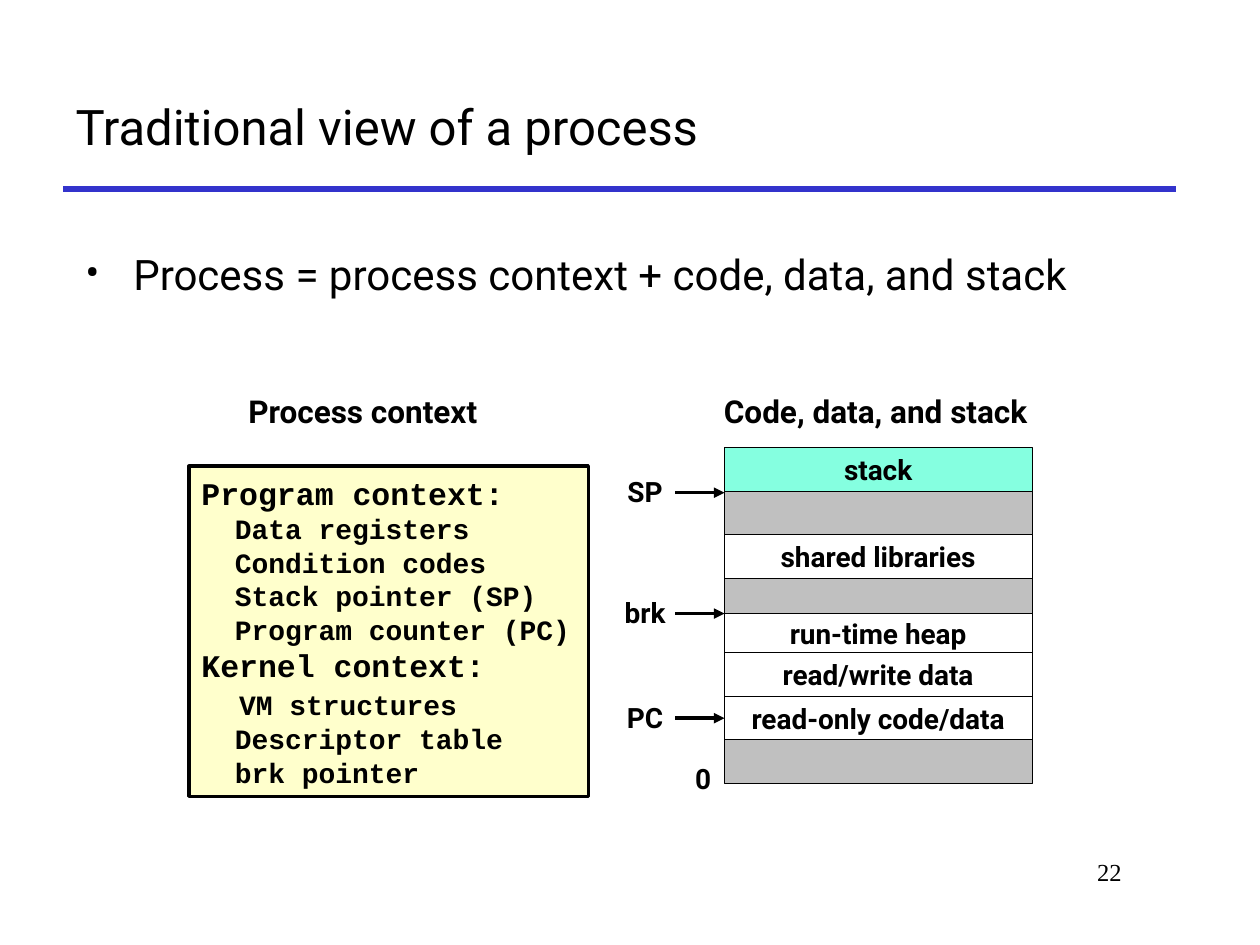
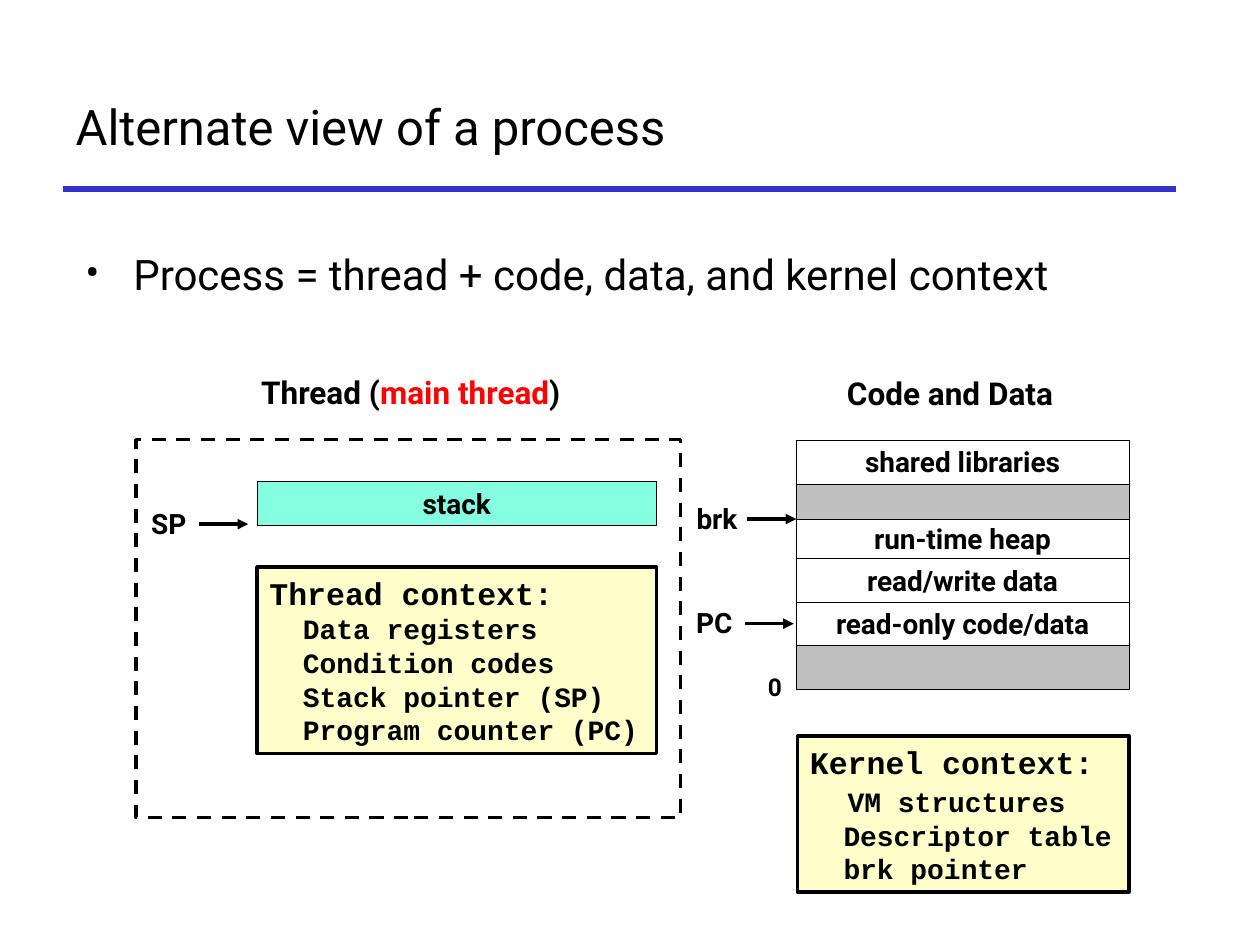
"""Build two slides that compare views of a process."""
from dataclasses import dataclass

from pptx import Presentation, util as u
from pptx.dml.color import RGBColor
from pptx.enum import dml, shapes, text
from pptx.oxml import xmlchemy as xc


@dataclass(frozen=True)
class Theme:
    """Colours, fonts and type sizes of the deck."""
    ink: str = "000000"
    rule: str = "3333CC"
    red: str = "FF0000"
    white: str = "FFFFFF"
    gray: str = "C0C0C0"
    mint: str = "85FFE0"
    cream: str = "FFFFCC"
    sans: str = "Roboto"
    mono: str = "Courier New"
    serif: str = "Times New Roman"
    title: int = 28
    body: int = 24
    head: int = 18
    label: int = 16
    small: int = 14
    lead: float = 1.2


T = Theme()
LEFT, MID, RIGHT = text.PP_ALIGN.LEFT, text.PP_ALIGN.CENTER, text.PP_ALIGN.RIGHT
STACK = ("stack", 0.35, T.mint)
ROWS = [
    STACK,
    ("", 0.34, T.gray),
    ("shared libraries", 0.35, T.white),
    ("", 0.28, T.gray),
    ("run-time heap", 0.31, T.white),
    ("read/write data", 0.35, T.white),
    ("read-only code/data", 0.34, T.white),
    ("", 0.35, T.gray),
]
REGS = ["Data registers", "Condition codes", "Stack pointer (SP)", "Program counter (PC)"]
KERNEL = ("Kernel context:", ["VM structures", "Descriptor table", "brk pointer"])


def rgb(code):
    """Turn a hex code into a colour."""
    return RGBColor.from_string(code)


def node(root, tag, **attrs):
    """Append a drawing element with attributes."""
    item = xc.OxmlElement(tag)
    for key, value in attrs.items():
        item.set(key, str(value))
    root.append(item)


def write(par, words, size=T.label, font=T.sans, bold=True, color=T.ink, align=LEFT):
    """Append one formatted run to a paragraph."""
    par.alignment = align
    run = par.add_run()
    run.text = words
    run.font.size, run.font.name, run.font.bold = u.Pt(size), font, bold
    run.font.color.rgb = rgb(color)


def place(left, top, width, height):
    """Convert a frame in inches to lengths."""
    return [u.Inches(n) for n in (left, top, width, height)]


def field(slide, at, wrap=False, anchor=text.MSO_ANCHOR.MIDDLE):
    """Add a text box and return its first paragraph."""
    frame = slide.shapes.add_textbox(*place(*at)).text_frame
    frame.word_wrap, frame.vertical_anchor = wrap, anchor
    return frame.paragraphs[0]


def label(slide, words, x, y, width=0.7, **fmt):
    """Add a bold label centred on a point."""
    par = field(slide, (x - width / 2, y - 0.2, width, 0.4))
    write(par, words, align=MID, **fmt)
    return par


def line(slide, start, end, color=T.ink, weight=2, arrow=False):
    """Draw a straight line, with an arrowhead if asked."""
    points = [u.Inches(n) for n in (*start, *end)]
    link = slide.shapes.add_connector(shapes.MSO_CONNECTOR.STRAIGHT, *points)
    link.line.color.rgb, link.line.width = rgb(color), u.Pt(weight)
    if arrow:
        node(link.line._get_or_add_ln(), "a:tailEnd", type="triangle")
    node(link._element.spPr, "a:effectLst")


def box(slide, at, fill=None, weight=0.25):
    """Draw an outlined rectangle."""
    rect = slide.shapes.add_shape(shapes.MSO_SHAPE.RECTANGLE, *place(*at))
    rect.shadow.inherit = False
    if fill:
        rect.fill.solid()
        rect.fill.fore_color.rgb = rgb(fill)
    else:
        rect.fill.background()
    rect.line.color.rgb, rect.line.width = rgb(T.ink), u.Pt(weight)
    rect.text_frame.vertical_anchor = text.MSO_ANCHOR.MIDDLE
    return rect


def column(slide, left, top, width, rows):
    """Stack memory regions downward from a top edge."""
    for name, height, fill in rows:
        cell = box(slide, (left, top, width, height), fill)
        if name:
            cell.text_frame.word_wrap = False
            write(cell.text_frame.paragraphs[0], name, align=MID)
        top += height


def panel(slide, at, *groups):
    """Draw a context box with headings and indented items."""
    frame = box(slide, at, T.cream, 2).text_frame
    frame.word_wrap, frame.margin_right = True, 0
    par = frame.paragraphs[0]
    for head, items in groups:
        for name in (head, *items):
            if par.runs:
                par = frame.add_paragraph()
            size = T.head if name == head else T.label
            tall = T.head if name == "VM structures" else size
            par.line_spacing = u.Pt(tall * T.lead)
            if name != head:
                inset = u.Pt(tall * T.lead)
                par._p.get_or_add_pPr().set("marL", str(inset))
            write(par, name, size=size, font=T.mono)


def pointer(slide, name, x, y):
    """Draw a named arrow whose tip is at a point."""
    label(slide, name, x - 0.63, y - 0.01)
    line(slide, (x - 0.39, y), (x, y), arrow=True)


def start(deck, title, point):
    """Add a slide with title, rule and one bullet."""
    slide = deck.slides.add_slide(deck.slide_layouts[5])
    line(slide, (0.5, 1.5), (9.33, 1.5), T.rule, 3)
    head = slide.shapes.title
    head.left, head.top, head.width, head.height = place(0.5, 0.5, 8.83, 1)
    head.text_frame.vertical_anchor = text.MSO_ANCHOR.MIDDLE
    write(head.text_frame.paragraphs[0], title, size=T.title, bold=False)
    par = field(slide, (0.58, 1.92, 8.7, 1), True, text.MSO_ANCHOR.TOP)
    write(par, point, size=T.body, bold=False)
    props = par._p.get_or_add_pPr()
    props.set("marL", str(u.Inches(0.38)))
    props.set("indent", str(u.Inches(-0.38)))
    node(props, "a:buFont", typeface=T.sans)
    node(props, "a:buChar", char="•")
    return slide


def classic(deck):
    """Build the traditional view."""
    slide = start(deck, "Traditional view of a process",
                  "Process = process context + code, data, and stack")
    label(slide, "Process context", 2.88, 3.26, 2.13, size=T.head)
    label(slide, "Code, data, and stack", 6.95, 3.26, 2.77, size=T.head)
    panel(slide, (1.5, 3.7, 3.17, 2.62), ("Program context:", REGS), KERNEL)
    column(slide, 5.75, 3.55, 2.44, ROWS)
    for name, y in (("SP", 3.91), ("brk", 4.87), ("PC", 5.7)):
        pointer(slide, name, 5.75, y)
    label(slide, "0", 5.58, 6.18, 0.33)
    page = field(slide, (7.58, 6.75, 1.42, 0.5), True, text.MSO_ANCHOR.TOP)
    write(page, "22", size=T.small, font=T.serif, bold=False, align=RIGHT)


def modern(deck):
    """Build the thread view."""
    slide = start(deck, "Alternate view of a process",
                  "Process = thread + code, data, and kernel context")
    par = label(slide, "Thread (", 3.26, 3.11, 2.69, size=T.head)
    write(par, "main thread", size=T.head, color=T.red, align=MID)
    write(par, ")", size=T.head, align=MID)
    label(slide, "Code and Data", 7.54, 3.12, 2.02, size=T.head)
    column(slide, 2.04, 3.82, 3.17, [STACK])
    column(slide, 6.32, 3.49, 2.64, ROWS[2:])
    panel(slide, (2.04, 4.5, 3.17, 1.48), ("Thread context:", REGS))
    panel(slide, (6.33, 5.84, 2.63, 1.24), KERNEL)
    for name, x, y in (("SP", 1.97, 4.16), ("brk", 6.32, 4.12), ("PC", 6.3, 4.95)):
        pointer(slide, name, x, y)
    label(slide, "0", 6.15, 5.45, 0.31, size=T.small)
    edge = box(slide, (1.08, 3.49, 4.32, 3), weight=2)
    edge.line.dash_style = dml.MSO_LINE.DASH


def main():
    """Build and save the deck."""
    deck = Presentation()
    deck.slide_width, deck.slide_height = u.Inches(10), u.Inches(7.5)
    classic(deck)
    modern(deck)
    deck.save("out.pptx")


if __name__ == "__main__":
    main()
